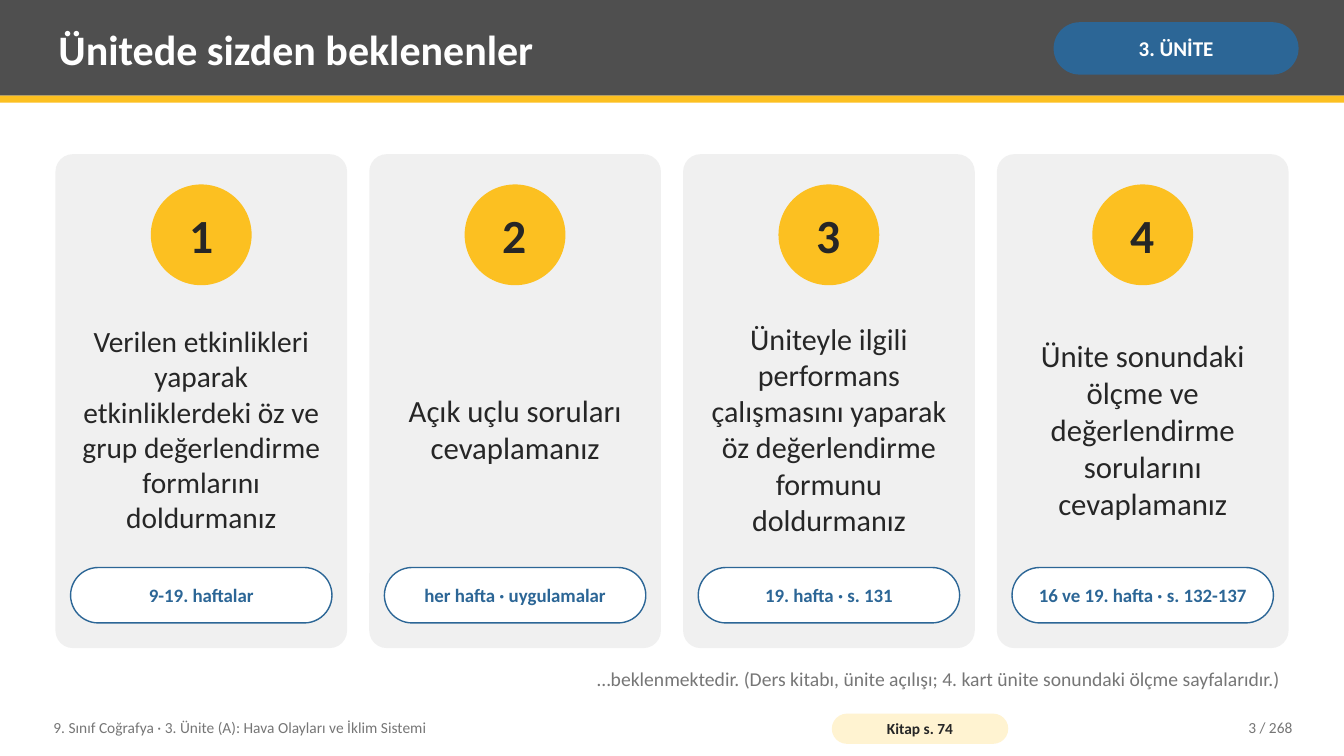
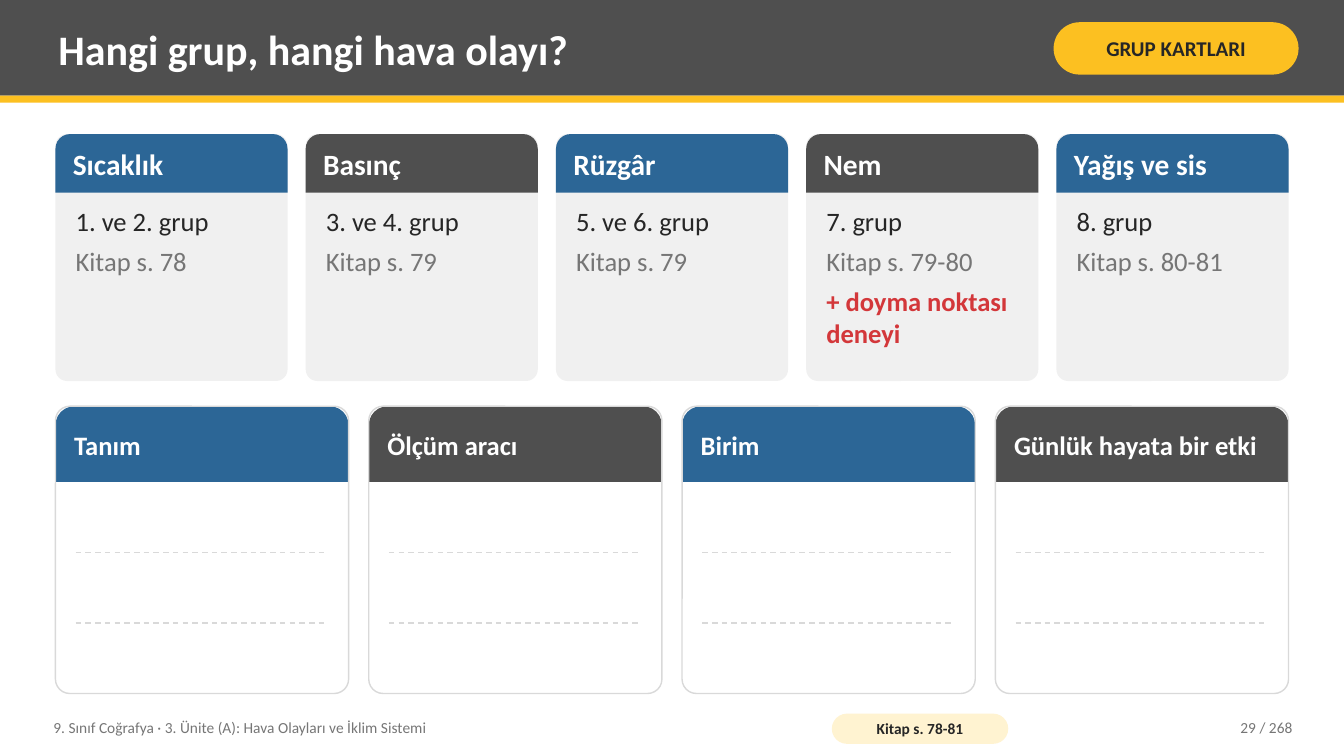
from dataclasses import dataclass

from lxml import etree
from pptx import Presentation
from pptx.dml.color import RGBColor
from pptx.enum.dml import MSO_LINE
from pptx.enum.shapes import MSO_CONNECTOR, MSO_SHAPE
from pptx.enum.text import MSO_ANCHOR, MSO_AUTO_SIZE, PP_ALIGN
from pptx.oxml.ns import qn
from pptx.util import Inches, Pt

RECT, ROUNDED, OVAL = MSO_SHAPE.RECTANGLE, MSO_SHAPE.ROUNDED_RECTANGLE, MSO_SHAPE.OVAL
ROUND_TOP = MSO_SHAPE.ROUND_2_SAME_RECTANGLE
LEFT, CENTER, RIGHT = PP_ALIGN.LEFT, PP_ALIGN.CENTER, PP_ALIGN.RIGHT
TOP, MIDDLE = MSO_ANCHOR.TOP, MSO_ANCHOR.MIDDLE
STRAIGHT, DASH = MSO_CONNECTOR.STRAIGHT, MSO_LINE.DASH
NO_AUTOFIT = MSO_AUTO_SIZE.NONE


@dataclass(frozen=True)
class Theme:
    font: str = "Calibri"
    dark: str = "4F4F4F"
    yellow: str = "FCC021"
    cream: str = "FFF3D1"
    blue: str = "2C6696"
    red: str = "D3373A"
    ink: str = "262626"
    muted: str = "767676"
    card: str = "F0F0F0"
    rule: str = "D9D9D9"
    white: str = "FFFFFF"
    title_size: float = 30
    number_size: float = 34
    header_size: float = 21
    body_size: float = 19
    badge_size: float = 15
    note_size: float = 14
    pill_size: float = 13.5
    footer_size: float = 11


theme = Theme()
MARGIN, CONTENT_WIDTH = 0.55, 12.23


def add_panel(slide, kind, left, top, width, height, fill=None, line=None, corner=None):
    panel = slide.shapes.add_shape(kind, Inches(left), Inches(top), Inches(width), Inches(height))
    panel.shadow.inherit = False
    if corner is not None:
        panel.adjustments[0] = corner
    if fill:
        panel.fill.solid()
        panel.fill.fore_color.rgb = RGBColor.from_string(fill)
    else:
        panel.fill.background()
    if line:
        panel.line.color.rgb = RGBColor.from_string(line)
        panel.line.width = Pt(1)
    else:
        panel.line.fill.background()
    return panel


def write(shape, lines, size, align=LEFT, anchor=MIDDLE, insets=(0.08, 0.04, 0.08, 0.04)):
    frame = shape.text_frame
    frame.word_wrap = True
    frame.auto_size = NO_AUTOFIT
    frame.vertical_anchor = anchor
    frame.margin_left, frame.margin_top, frame.margin_right, frame.margin_bottom = map(Inches, insets)
    for index, (text, color, bold) in enumerate(lines):
        paragraph = frame.add_paragraph() if index else frame.paragraphs[0]
        paragraph.text = text
        paragraph.alignment = align
        if index < len(lines) - 1:
            paragraph.space_after = Pt(6)
        paragraph.font.name = theme.font
        paragraph.font.size = Pt(size)
        paragraph.font.bold = bold
        paragraph.font.color.rgb = RGBColor.from_string(color)


prs = Presentation()
prs.slide_width, prs.slide_height = Inches(13.33), Inches(7.5)

pages = [
    ("Ünitede sizden beklenenler", "3. ÜNİTE", theme.blue, theme.white, "Kitap s. 74", "3 / 268"),
    ("Hangi grup, hangi hava olayı?", "GRUP KARTLARI", theme.yellow, theme.ink, "Kitap s. 78-81", "29 / 268"),
]
slides = []
for heading, badge_text, badge_fill, badge_color, source, page_number in pages:
    slide = prs.slides.add_slide(prs.slide_layouts[5])
    slides.append(slide)
    add_panel(slide, RECT, 0, 0, 13.33, 0.95, theme.dark)
    add_panel(slide, RECT, 0, 0.95, 13.33, 0.07, theme.yellow)

    title = slide.shapes.title
    title.left, title.top, title.width, title.height = map(Inches, (0.5, 0.07, 9.75, 0.82))
    title.element.getparent().append(title.element)
    write(title, [(heading, theme.white, True)], theme.title_size)

    badge = add_panel(slide, ROUNDED, 10.45, 0.22, 2.43, 0.52, badge_fill, corner=0.5)
    write(badge, [(badge_text, badge_color, True)], theme.badge_size, CENTER, insets=(0.05, 0.02, 0.05, 0.02))

    footer = slide.shapes.add_textbox(Inches(0.45), Inches(7.04), Inches(7.6), Inches(0.36))
    course = "9. Sınıf Coğrafya · 3. Ünite (A): Hava Olayları ve İklim Sistemi"
    write(footer, [(course, theme.muted, False)], theme.footer_size)
    source_pill = add_panel(slide, ROUNDED, 8.25, 7.08, 1.75, 0.3, theme.cream, corner=0.5)
    write(source_pill, [(source, theme.ink, True)], theme.footer_size, CENTER, insets=(0.04, 0, 0.04, 0))
    counter = slide.shapes.add_textbox(Inches(11.3), Inches(7.04), Inches(1.6), Inches(0.36))
    write(counter, [(page_number, theme.muted, False)], theme.footer_size, RIGHT)

expectations_slide, groups_slide = slides

expectations = [
    ("Verilen etkinlikleri yaparak etkinliklerdeki öz ve grup değerlendirme formlarını doldurmanız", 21,
     "9-19. haftalar"),
    ("Açık uçlu soruları cevaplamanız", 22, "her hafta · uygulamalar"),
    ("Üniteyle ilgili performans çalışmasını yaparak öz değerlendirme formunu doldurmanız", 21.5,
     "19. hafta · s. 131"),
    ("Ünite sonundaki ölçme ve değerlendirme sorularını cevaplamanız", 22, "16 ve 19. hafta · s. 132-137"),
]
gap = 0.22
width = (CONTENT_WIDTH - gap * (len(expectations) - 1)) / len(expectations)
for index, (task, task_size, weeks) in enumerate(expectations):
    left = MARGIN + index * (width + gap)
    inner_left, inner_width = left + 0.15, width - 0.3
    add_panel(expectations_slide, ROUNDED, left, 1.53, width, 4.9, theme.card, corner=0.06)
    number = add_panel(expectations_slide, OVAL, left + (width - 1) / 2, 1.83, 1, 1, theme.yellow)
    write(number, [(str(index + 1), theme.ink, True)], theme.number_size, CENTER, insets=(0, 0, 0, 0))
    expectation = expectations_slide.shapes.add_textbox(
        Inches(inner_left), Inches(3.03), Inches(inner_width), Inches(2.45))
    write(expectation, [(task, theme.ink, False)], task_size, CENTER)
    weeks_pill = add_panel(
        expectations_slide, ROUNDED, inner_left, 5.63, inner_width, 0.55, theme.white, theme.blue, 0.5)
    write(weeks_pill, [(weeks, theme.blue, True)], theme.pill_size, CENTER, insets=(0.04, 0.08, 0.04, 0.08))

closing_note = expectations_slide.shapes.add_textbox(
    Inches(MARGIN), Inches(6.58), Inches(CONTENT_WIDTH), Inches(0.4))
closing = "…beklenmektedir. (Ders kitabı, ünite açılışı; 4. kart ünite sonundaki ölçme sayfalarıdır.)"
write(closing_note, [(closing, theme.muted, False)], theme.note_size, RIGHT, TOP)

groups = [
    ("Sıcaklık", "1. ve 2. grup", "Kitap s. 78", None),
    ("Basınç", "3. ve 4. grup", "Kitap s. 79", None),
    ("Rüzgâr", "5. ve 6. grup", "Kitap s. 79", None),
    ("Nem", "7. grup", "Kitap s. 79-80", "+ doyma noktası deneyi"),
    ("Yağış ve sis", "8. grup", "Kitap s. 80-81", None),
]
prompts = ["Tanım", "Ölçüm aracı", "Birim", "Günlük hayata bir etki"]
group_gap, prompt_gap = 0.18, 0.2
group_width = (CONTENT_WIDTH - group_gap * (len(groups) - 1)) / len(groups)
prompt_width = (CONTENT_WIDTH - prompt_gap * (len(prompts) - 1)) / len(prompts)

for index, (topic, members, pages_to_read, extra) in enumerate(groups):
    left = MARGIN + index * (group_width + group_gap)
    add_panel(groups_slide, ROUNDED, left, 1.33, group_width, 2.45, theme.card, corner=0.05)
    details = [(members, theme.ink, False), (pages_to_read, theme.muted, False)]
    if extra:
        details.append((extra, theme.red, True))
    assignment = groups_slide.shapes.add_textbox(
        Inches(left + 0.12), Inches(1.99), Inches(group_width - 0.24), Inches(1.71))
    write(assignment, details, theme.body_size, anchor=TOP)

header_rows = [
    ([group[0] for group in groups], 1.33, 0.58, group_width, group_gap, theme.header_size),
    (prompts, 4.03, 0.75, prompt_width, prompt_gap, theme.body_size),
]
for labels, top, height, width, gap, size in header_rows:
    for index, label in enumerate(labels):
        header_fill = theme.dark if index % 2 else theme.blue
        header = add_panel(
            groups_slide, ROUND_TOP, MARGIN + index * (width + gap), top, width, height, header_fill, corner=0.25)
        write(header, [(label, theme.white, True)], size, insets=(0.13, 0, 0.04, 0.04))

for index in range(len(prompts)):
    left = MARGIN + index * (prompt_width + prompt_gap)
    add_panel(groups_slide, ROUNDED, left, 4.03, prompt_width, 2.85, line=theme.rule, corner=0.05)
    for y in (5.48, 6.18):
        writing_line = groups_slide.shapes.add_connector(
            STRAIGHT, Inches(left + 0.2), Inches(y), Inches(left + prompt_width - 0.2), Inches(y))
        writing_line.line.color.rgb = RGBColor.from_string(theme.rule)
        writing_line.line.width = Pt(1)
        writing_line.line.dash_style = DASH
        etree.SubElement(writing_line.element.spPr, qn("a:effectLst"))

prs.save("out.pptx")
